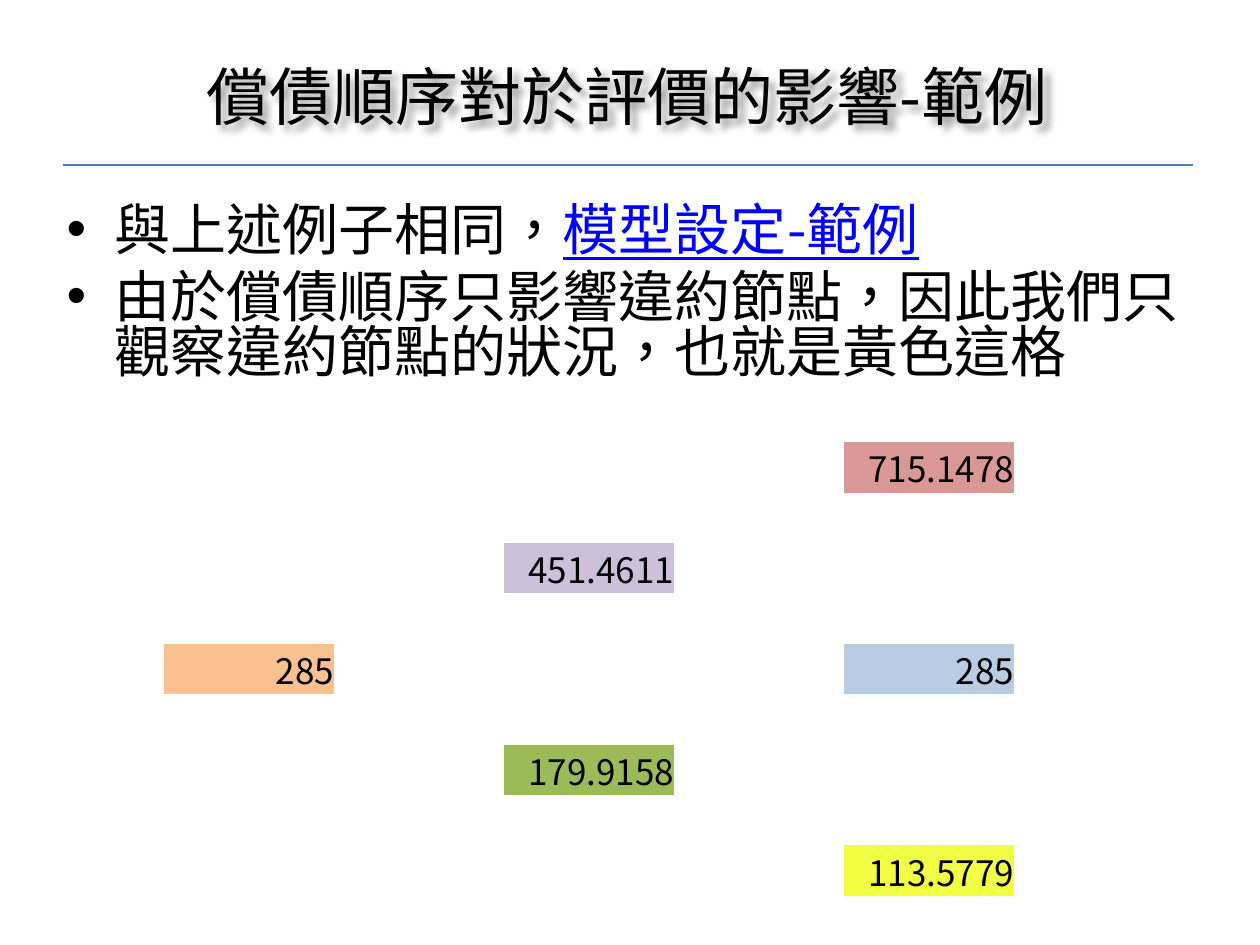
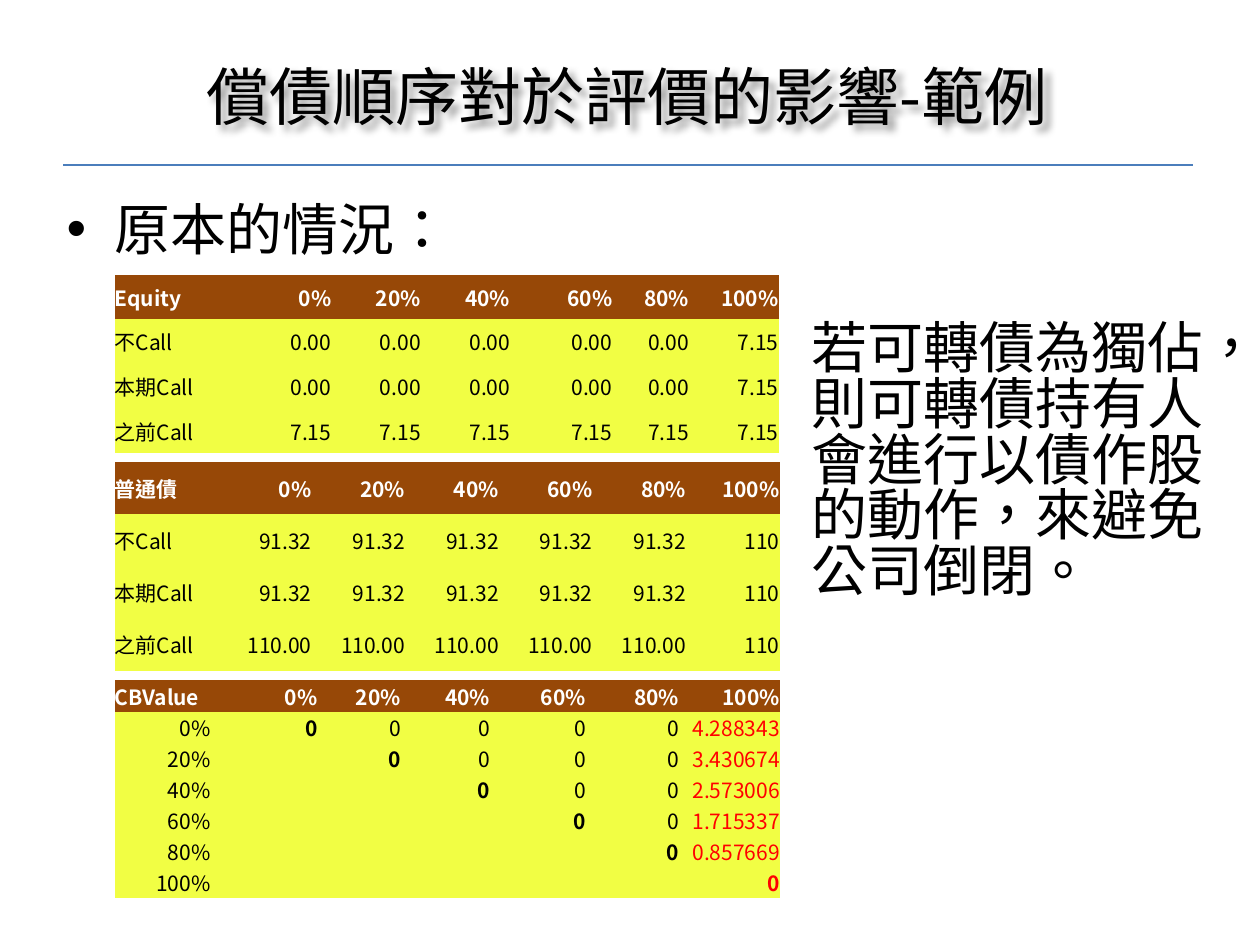
from dataclasses import dataclass

from lxml import etree
from pptx import Presentation
from pptx.dml.color import RGBColor
from pptx.enum.shapes import MSO_CONNECTOR
from pptx.enum.text import MSO_ANCHOR, MSO_AUTO_SIZE, PP_ALIGN
from pptx.oxml.ns import qn
from pptx.util import Inches, Pt


@dataclass(frozen=True)
class Theme:
    # Colours
    black: str = "000000"
    white: str = "FFFFFF"
    rule: str = "4B7EBC"
    link: str = "0000FF"
    red: str = "FF0000"
    brown: str = "974807"
    yellow: str = "F1FE44"
    rose: str = "D99795"
    lilac: str = "CCC0DA"
    peach: str = "FAC090"
    sky: str = "B8CCE4"
    green: str = "9BBB59"
    # Fonts and type sizes
    font: str = "Noto Sans CJK SC"
    grid_font: str = "Noto Sans CJK TC"
    title: int = 36
    body: int = 32
    node: int = 20
    grid: int = 12
    leading: float = 0.83


@dataclass(frozen=True)
class Cell:
    text: str = ""
    fill: str = ""
    color: str = Theme.black
    bold: bool = False
    align: PP_ALIGN = PP_ALIGN.RIGHT


T = Theme()
TITLE = "償債順序對於評價的影響-範例"
RATES = ["0%", "20%", "40%", "60%", "80%", "100%"]
CALLS = ["不Call", "本期Call", "之前Call"]
NO_GRID = "{2D5ABB26-0587-4C30-8999-92F81FD0307C}"


# Text
def add_run(para, text, size, color=T.black, font=T.font, bold=False, line=False):
    run = para.add_run()
    run.text = text
    run.font.size = Pt(size)
    run.font.name = font
    run.font.bold = bold
    run.font.underline = line
    run.font.color.rgb = RGBColor.from_string(color)
    props = run._r.get_or_add_rPr()
    props.set("lang", "zh-TW")
    face = etree.Element(qn("a:ea"), typeface=font)
    props.find(qn("a:latin")).addnext(face)


def add_bullet(para):
    props = para._p.get_or_add_pPr()
    props.set("marL", str(Inches(0.38)))
    props.set("indent", str(-Inches(0.38)))
    etree.SubElement(props, qn("a:buFont"), typeface="Arial")
    etree.SubElement(props, qn("a:buChar"), char="•")


def add_text(slide, box, paras, bullet=False):
    """Each paragraph is a list of (text, is_link) runs."""
    frame = slide.shapes.add_textbox(*map(Inches, box)).text_frame
    frame.word_wrap = True
    frame.margin_top = Inches(0.08)
    for i, runs in enumerate(paras):
        para = frame.add_paragraph() if i else frame.paragraphs[0]
        para.line_spacing = T.leading
        if i:
            para.space_before = Pt(T.body * 0.2)
        if bullet:
            add_bullet(para)
        for text, link in runs:
            add_run(para, text, T.body, T.link if link else T.black, line=link)


# Title with soft shadow, and the rule below it
def add_shade(shape):
    effect = etree.SubElement(shape._element.spPr, qn("a:effectLst"))
    shade = etree.SubElement(effect, qn("a:outerShdw"), blurRad=str(Pt(4)),
                             dist=str(Pt(4)), dir="2700000", algn="tl")
    color = etree.SubElement(shade, qn("a:srgbClr"), val=T.black)
    etree.SubElement(color, qn("a:alpha"), val="40000")


def add_page(deck):
    slide = deck.slides.add_slide(deck.slide_layouts[5])
    title = slide.shapes.title
    title.left, title.top, title.width, title.height = map(
        Inches, (1.54, 0.33, 7.48, 0.85))
    frame = title.text_frame
    frame.auto_size = MSO_AUTO_SIZE.NONE
    frame.vertical_anchor = MSO_ANCHOR.MIDDLE
    para = frame.paragraphs[0]
    para.alignment = PP_ALIGN.LEFT
    add_run(para, TITLE, T.title)
    add_shade(title)

    rule = slide.shapes.add_connector(
        MSO_CONNECTOR.STRAIGHT, *map(Inches, (0.5, 1.31, 9.47, 1.31)))
    rule.line.color.rgb = RGBColor.from_string(T.rule)
    rule.line.width = Pt(0.75)
    etree.SubElement(rule._element.spPr, qn("a:effectLst"))
    return slide


# Tables
def fill_cell(cell, item, size):
    cell.margin_left = cell.margin_right = cell.margin_top = cell.margin_bottom = 0
    cell.vertical_anchor = MSO_ANCHOR.MIDDLE
    if item.fill:
        cell.fill.solid()
        cell.fill.fore_color.rgb = RGBColor.from_string(item.fill)
    else:
        cell.fill.background()
    para = cell.text_frame.paragraphs[0]
    if item.text:
        para.alignment = item.align
        add_run(para, item.text, size, item.color, T.grid_font, item.bold)
    else:
        etree.SubElement(para._p, qn("a:endParaRPr"), sz=str(size * 100))


def add_grid(slide, left, top, widths, high, rows, size):
    frame = slide.shapes.add_table(
        len(rows), len(widths), Inches(left), Inches(top),
        Inches(sum(widths)), Inches(high * len(rows)))
    table = frame.table
    table.first_row = table.horz_banding = False
    frame._element.find(".//" + qn("a:tableStyleId")).text = NO_GRID
    for col, width in zip(table.columns, widths):
        col.width = Inches(width)
    for r, row in enumerate(rows):
        table.rows[r].height = Inches(high)
        for c, item in enumerate(row):
            fill_cell(table.cell(r, c), item, size)


def head_row(name):
    first = Cell(name, T.brown, T.white, True, PP_ALIGN.LEFT)
    return [first] + [Cell(rate, T.brown, T.white, True) for rate in RATES]


def call_rows(name, values):
    """Values hold the shared figure and the 100% figure of each call case."""
    rows = [head_row(name)]
    for label, (same, last) in zip(CALLS, values):
        first = Cell(label, T.yellow, align=PP_ALIGN.LEFT)
        rows.append([first] + [Cell(v, T.yellow) for v in [same] * 5 + [last]])
    return rows


def bond_rows(lasts):
    """Upper triangle of zeros, bold on the diagonal, red in the last column."""
    rows = [head_row("CBValue")]
    end = len(RATES) - 1
    for r, rate in enumerate(RATES):
        row = [Cell(rate, T.yellow)]
        for c in range(end):
            row.append(Cell("0" if c >= r else "", T.yellow, bold=c == r))
        row.append(Cell(lasts[r], T.yellow, T.red, r == end))
        rows.append(row)
    return rows


def tree_rows():
    nodes = {
        (0, 4): Cell("715.1478", T.rose),
        (2, 2): Cell("451.4611", T.lilac),
        (4, 0): Cell("285", T.peach),
        (4, 4): Cell("285", T.sky),
        (6, 2): Cell("179.9158", T.green),
        (8, 4): Cell("113.5779", T.yellow),
    }
    return [[nodes.get((r, c), Cell()) for c in range(5)] for r in range(9)]


def main():
    deck = Presentation()
    deck.slide_width, deck.slide_height = Inches(10), Inches(7.5)
    body = (0.43, 1.55, 9.13, 5.15)

    # Slide 1: value tree
    slide = add_page(deck)
    add_text(slide, body, [
        [("與上述例子相同，", False), ("模型設定-範例", True)],
        [("由於償債順序只影響違約節點，因此我們只觀察違約節點的狀況，"
          "也就是黃色這格", False)],
    ], bullet=True)
    add_grid(slide, 1.3, 3.51, [1.35] * 5, 0.4, tree_rows(), T.node)

    # Slide 2: payoffs at the default node
    slide = add_page(deck)
    add_text(slide, body, [[("原本的情況：", False)]], bullet=True)
    equity = call_rows("Equity", [("0.00", "7.15")] * 2 + [("7.15", "7.15")])
    debt = call_rows("普通債", [("91.32", "110")] * 2 + [("110.00", "110")])
    bond = bond_rows(["4.288343", "3.430674", "2.573006",
                      "1.715337", "0.857669", "0"])
    add_grid(slide, 0.91, 2.18, [1.01, 0.71, 0.71, 0.71, 0.81, 0.61, 0.71],
             0.355, equity, T.grid)
    add_grid(slide, 0.91, 3.67, [0.82] + [0.743] * 6, 0.413, debt, T.grid)
    add_grid(slide, 0.91, 5.4, [0.76, 0.85, 0.66, 0.71, 0.76, 0.74, 0.8],
             0.247, bond, T.grid)
    add_text(slide, (6.34, 2.49, 3.39, 2.79), [
        [("若可轉債為獨佔，則可轉債持有人會進行以債作股的動作，"
          "來避免公司倒閉。", False)]])

    deck.save("out.pptx")


if __name__ == "__main__":
    main()
